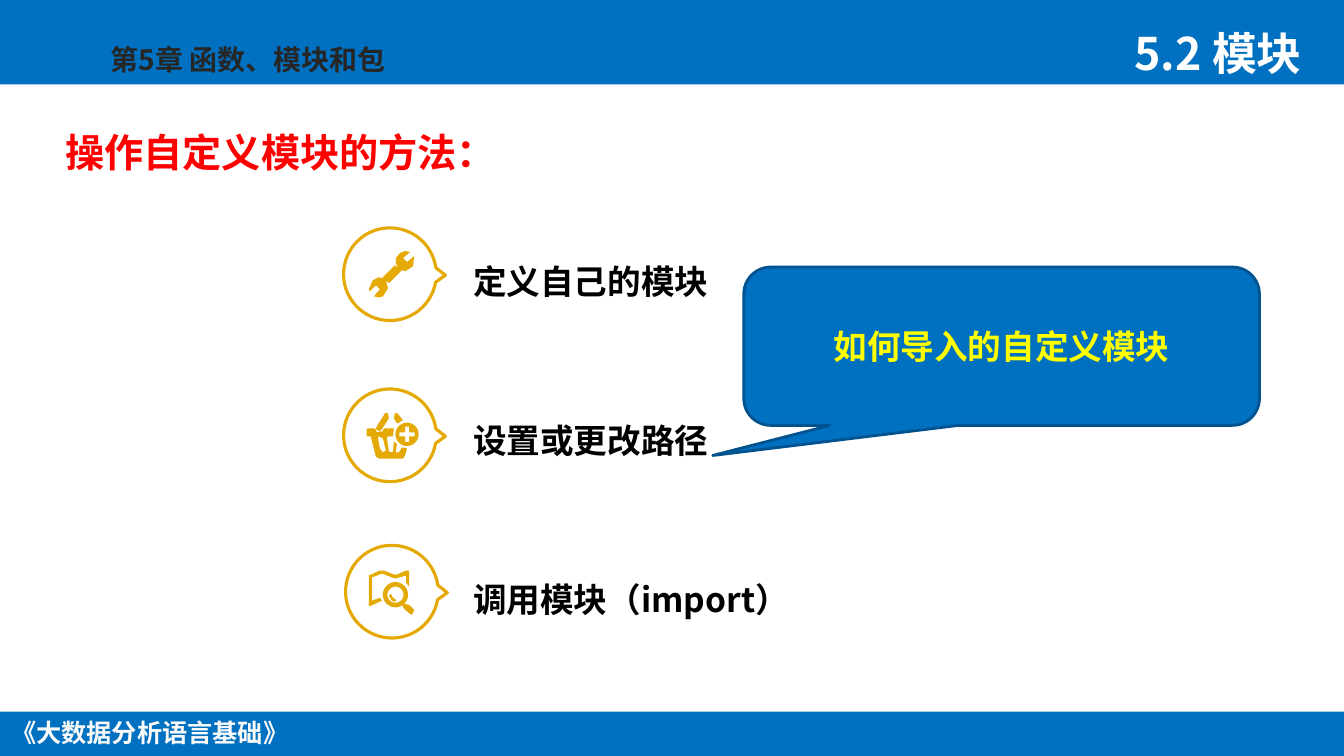
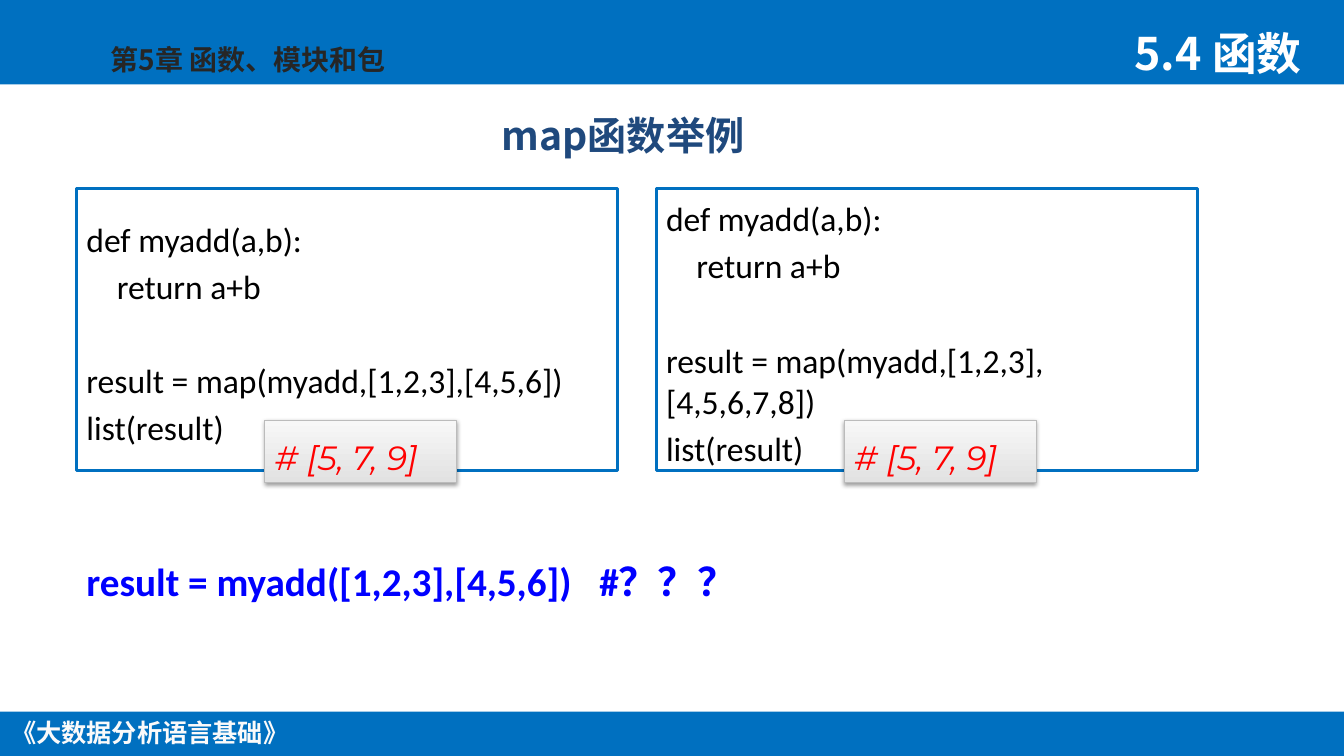
"""Build two lesson slides on Python modules and the map function."""
from math import cos, radians, sin

from lxml.etree import SubElement
from pptx import Presentation
from pptx.dml.color import RGBColor
from pptx.enum.shapes import MSO_SHAPE
from pptx.enum.text import MSO_ANCHOR, PP_ALIGN
from pptx.oxml.ns import qn
from pptx.util import Cm, Pt

COLORS = {
    "band": "0070C0", "footer": "FAFAFA", "chapter": "262626", "white": "FFFFFF",
    "red": "FF0000", "gold": "E4A903", "black": "000000", "yellow": "FFFF00",
    "callout_line": "00538E", "navy": "1F497D", "blue": "0000FF",
    "result_line": "BBBBBB", "result_dark": "E2E2E2", "result_light": "F7F7F7",
}
CHINESE_FONT, CODE_FONT, RESULT_FONT = "Noto Sans CJK SC", "Calibri", "Montserrat"
SLIDE_WIDTH, SLIDE_HEIGHT = 33.88, 19.05
ICON_UNIT = Cm(2.54) // 100

CHAPTER = "第5章 函数、模块和包"
BOOK = "《大数据分析语言基础》"
MODULE_SECTION, FUNCTION_SECTION = "5.2 模块", "5.4 函数"
MODULE_HEADING, FUNCTION_HEADING = "操作自定义模块的方法：", "map函数举例"
CALLOUT = "如何导入的自定义模块"
QUESTION = "result = myadd([1,2,3],[4,5,6])\t#？？？"
RESULT = "# [5, 7, 9]"
DEFINITION = ["def myadd(a,b):", "    return a+b"]
CALLS = ["result = map(myadd,[1,2,3],[4,5,6])", "result = map(myadd,[1,2,3],[4,5,6,7,8])"]
SHOW_RESULT = "list(result)"


def arc(center_x, center_y, radius, start=0, stop=360):
    """Return points along an arc, every six degrees."""
    return [(center_x + radius * cos(radians(angle)), center_y + radius * sin(radians(angle)))
            for angle in range(start, stop, 6)]


def cross(center_x, center_y, arm, half):
    """Return the outline of a plus sign."""
    corners = [(-half, -arm), (half, -arm), (half, -half), (arm, -half), (arm, half), (half, half),
               (half, arm), (-half, arm), (-half, half), (-arm, half), (-arm, -half), (-half, -half)]
    return [(center_x + x, center_y + y) for x, y in corners]


BUBBLE = [arc(0, 0, 46, 10, 354) + [(55, 1)]]
WRENCH = [[
    (15, -23), (10, -21), (6, -16), (6, -11), (8, -6), (5, -9), (-8, 4), (-11, 3), (-17, 6),
    (-21, 15), (-20, 17), (-14, 11), (-10, 15), (-16, 22), (-11, 23), (-7, 22), (-2, 14),
    (-4, 6), (-1, 9), (12, -4), (15, -3), (17, -4), (23, -8), (24, -18), (17, -12),
    (13, -16), (20, -22),
]]
BASKET = [
    [(-22, -7), (-15, -7), (-13, -3), (-7, -4), (-6, -7), (4, -7), (3, 1), (-1, 1), (-3, 2),
     (-1, 16), (2, 17), (3, 16), (4, 6), (7, 9), (6, 15), (6, 17), (9, 17), (12, 12),
     (17, 13), (15, 20), (13, 23), (-11, 23), (-14, 21), (-19, 1), (-23, 1), (-23, -6)],
    [(-12, 2), (-10, 13), (-7, 17), (-4, 15), (-7, 3), (-11, 1)],
    [(-5, -22), (-2, -22), (-1, -17), (-8, -6), (-10, -4), (-14, -6), (-13, -9), (-6, -20)],
    [(7, -22), (9, -20), (13, -15), (8, -12), (7, -12), (4, -17), (5, -22)],
    arc(17, -1, 11.5),
    cross(17, -1, 7.5, 2),
]
MAP_SEARCH = [
    [(-12, -21), (-8, -21), (2, -17), (5, -17), (14, -21), (17, -21), (17, -5), (14, -9),
     (14, -16), (3, -13), (-10, -18), (-20, -14), (-20, 9), (-12, 6), (-10, 9), (-21, 14),
     (-23, 14), (-23, -16)],
    arc(3.5, 3, 12.5),
    arc(3.5, 3, 8),
    [(12, 12), (17, 13), (22, 18), (20, 23), (18, 22), (12, 17), (10, 13)],
    [(-3, 4), (-1, 2), (1, 6), (4, 8), (4, 10), (0, 9)],
]
STEPS = [
    ("定义自己的模块", WRENCH, (9.83, 6.91)),
    ("设置或更改路径", BASKET, (9.83, 10.97)),
    ("调用模块（import）", MAP_SEARCH, (9.88, 14.91)),
]


def color(name):
    return RGBColor.from_string(COLORS[name])


def write(shape, lines, size, ink, font=CHINESE_FONT, bold=True, italic=False,
          align=PP_ALIGN.LEFT, anchor=MSO_ANCHOR.TOP, spacing=None, wrap=True):
    """Fill a shape with one paragraph per line in a single style."""
    frame = shape.text_frame
    frame.word_wrap = wrap
    frame.vertical_anchor = anchor
    for index, line in enumerate(lines):
        paragraph = frame.add_paragraph() if index else frame.paragraphs[0]
        paragraph.text = line
        paragraph.alignment = align
        paragraph.line_spacing = spacing
        paragraph.font.size = Pt(size)
        paragraph.font.bold = bold
        paragraph.font.italic = italic
        paragraph.font.color.rgb = color(ink)
        paragraph.font.name = font
        defaults = paragraph._p.pPr.find(qn("a:defRPr"))
        SubElement(defaults, qn("a:ea"), typeface=font)
    return frame


def add_text(slide, box, text, size, ink, **style):
    return write(slide.shapes.add_textbox(*map(Cm, box)), [text], size, ink, **style)


def paint(shape, fill=None, line=None, width=2):
    """Set fill and outline, and remove the shadow."""
    shape.shadow.inherit = False
    if fill:
        shape.fill.solid()
        shape.fill.fore_color.rgb = color(fill)
    else:
        shape.fill.background()
    if line:
        shape.line.color.rgb = color(line)
        shape.line.width = Pt(width)
    else:
        shape.line.fill.background()


def add_shape(slide, box, fill, line=None, kind=MSO_SHAPE.RECTANGLE):
    shape = slide.shapes.add_shape(kind, *map(Cm, box))
    paint(shape, fill, line)
    return shape


def add_outline(slide, center, contours, **look):
    """Draw closed contours around a center as one freeform."""
    scaled = [[(x * ICON_UNIT, y * ICON_UNIT) for x, y in contour] for contour in contours]
    builder = slide.shapes.build_freeform(*scaled[0][0], scale=1.0)
    for index, contour in enumerate(scaled):
        if index:
            builder.move_to(*contour[0])
        builder.add_line_segments(contour[1:], close=True)
    paint(builder.convert_to_shape(*map(Cm, center)), **look)


def add_lesson_slide(presentation, section):
    """Add a blank slide with the shared bands, chapter, book and section."""
    slide = presentation.slides.add_slide(presentation.slide_layouts[6])
    add_shape(slide, (0, 0, SLIDE_WIDTH, 2.13), "band")
    add_shape(slide, (0, 17.93, SLIDE_WIDTH, 1.12), "band")
    add_text(slide, (0, 17.96, 7.55, 1.02), BOOK, 18, "footer",
             align=PP_ALIGN.CENTER, wrap=False)
    add_text(slide, (2.54, 0.94, 9.6, 1.12), CHAPTER, 20, "chapter")
    add_text(slide, (28.35, 0.53, 5.53, 1.63), section, 32, "white")
    return slide


def add_code(slide, box, call):
    shape = add_shape(slide, box, "white", "band")
    frame = write(shape, DEFINITION + [call, SHOW_RESULT], 24, "black", font=CODE_FONT,
                  bold=False, anchor=MSO_ANCHOR.MIDDLE)
    frame.margin_top = Cm(0.3)
    for paragraph in frame.paragraphs[1:]:
        paragraph.space_before = Pt(4.8)
    frame.paragraphs[len(DEFINITION)].space_before = Pt(38.9)


def add_result(slide, box):
    shape = add_shape(slide, box, "result_light", "result_line")
    shape.line.width = Pt(0.75)
    shape.fill.gradient()
    shape.fill.gradient_angle = 90
    for stop, name in zip(shape.fill.gradient_stops, ("result_dark", "result_light")):
        stop.color.rgb = color(name)
    effects = shape._element.spPr.find(qn("a:effectLst"))
    shadow = SubElement(effects, qn("a:outerShdw"), blurRad=str(Pt(3.1)), dist=str(Pt(1.6)),
                        dir="5400000", rotWithShape="0")
    tint = SubElement(shadow, qn("a:srgbClr"), val=COLORS["black"])
    SubElement(tint, qn("a:alpha"), val="38000")
    write(shape, [RESULT], 24, "red", font=RESULT_FONT, bold=False, italic=True, spacing=1.3)


def add_question(slide):
    shape = slide.shapes.add_textbox(*map(Cm, (1.93, 13.92, 19.35, 1.45)))
    properties = shape.text_frame.paragraphs[0]._p.get_or_add_pPr()
    stops = SubElement(properties, qn("a:tabLst"))
    SubElement(stops, qn("a:tab"), pos=str(Cm(12.93)), algn="l")
    write(shape, [QUESTION], 28, "blue", font=CODE_FONT)


def build_module_slide(presentation):
    slide = add_lesson_slide(presentation, MODULE_SECTION)
    add_text(slide, (1.4, 2.62, 11.81, 2.39), MODULE_HEADING, 28, "red",
             anchor=MSO_ANCHOR.MIDDLE)
    for index, (label, icon, center) in enumerate(STEPS):
        add_outline(slide, center, icon, fill="gold")
        add_outline(slide, center, BUBBLE, line="gold", width=2.25)
        add_text(slide, (11.68, 5.52 + 4.01 * index, 11.3, 2.92), label, 24, "black",
                 anchor=MSO_ANCHOR.MIDDLE, spacing=1.2)
    callout = add_shape(slide, (18.75, 6.73, 13, 3.99), "band", "callout_line",
                        MSO_SHAPE.ROUNDED_RECTANGULAR_CALLOUT)
    for index, value in enumerate((-0.56, 0.69, 0.17)):
        callout.adjustments[index] = value
    write(callout, [CALLOUT], 24, "yellow", align=PP_ALIGN.CENTER, anchor=MSO_ANCHOR.MIDDLE)


def build_function_slide(presentation):
    slide = add_lesson_slide(presentation, FUNCTION_SECTION)
    add_text(slide, (12.4, 2.54, 9.07, 1.6), FUNCTION_HEADING, 28, "navy",
             anchor=MSO_ANCHOR.BOTTOM, spacing=0.9)
    for index, call in enumerate(CALLS):
        left, top = 1.93 + 14.61 * index, 4.76
        add_code(slide, (left, top, 13.64, 7.09), call)
        add_result(slide, (left + 4.75, top + 5.83, 4.83, 1.57))
    add_question(slide)


def main():
    presentation = Presentation()
    presentation.slide_width, presentation.slide_height = Cm(SLIDE_WIDTH), Cm(SLIDE_HEIGHT)
    build_module_slide(presentation)
    build_function_slide(presentation)
    presentation.save("out.pptx")


if __name__ == "__main__":
    main()
